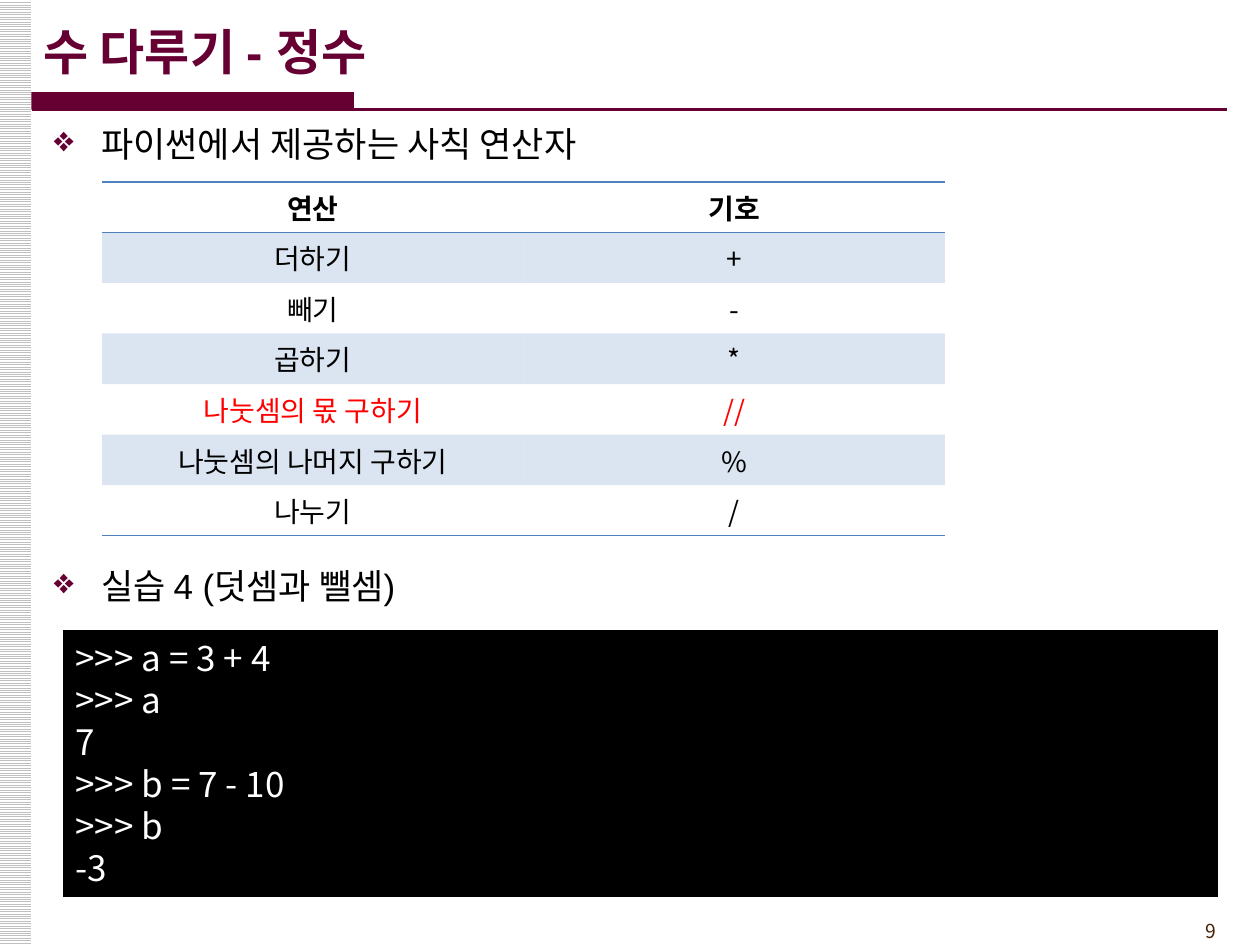
from lxml import etree
from pptx import Presentation
from pptx.dml.color import RGBColor
from pptx.enum import dml, shapes, text
from pptx.oxml import ns
from pptx.util import Pt

WINE = RGBColor(0x66, 0x00, 0x33)
BLACK = RGBColor(0, 0, 0)
WHITE = RGBColor(0xFF, 0xFF, 0xFF)
GRAY = RGBColor(0xC0, 0xC0, 0xC0)
BLUE = RGBColor(0x4F, 0x81, 0xBD)
RED = RGBColor(0xFF, 0, 0)
BROWN = RGBColor(0x45, 0x21, 0x03)
LATIN, KOREAN = "Arial", "Noto Sans CJK KR"
PLAIN = "{2D5ABB26-0587-4C30-8999-92F81FD0307C}"

TITLE = "수 다루기 - 정수"
HEADS = [("파이썬에서 제공하는 사칙 연산자", 66.24), ("실습 4 (덧셈과 뺄셈)", 319)]
ROWS = [
    ("연산", "기호"),
    ("더하기", "+"),
    ("빼기", "-"),
    ("곱하기", "*"),
    ("나눗셈의 몫 구하기", "//"),
    ("나눗셈의 나머지 구하기", "%"),
    ("나누기", "/"),
]
MARKED = 4
CODE = [">>> a = 3 + 4", ">>> a", "7", ">>> b = 7 - 10", ">>> b", "-3"]
PAGE = "9"


def sub(node, tag, **attrs):
    return etree.SubElement(node, ns.qn(tag), **attrs)


def style(frame, size, color, font=KOREAN, bold=False, align=text.PP_ALIGN.LEFT):
    for para in frame.paragraphs:
        para.alignment = align
        for run in para.runs:
            run.font.size = Pt(size)
            run.font.bold = bold
            run.font.color.rgb = color
            run.font.name = font
            sub(run.font._element, "a:ea", typeface=KOREAN)


def label(words, left, top, width, height):
    frame = slide.shapes.add_textbox(Pt(left), Pt(top), Pt(width), Pt(height)).text_frame
    frame.word_wrap = True
    frame.text = words
    return frame


def block(left, top, width, height, color):
    shape = slide.shapes.add_shape(
        shapes.MSO_SHAPE.RECTANGLE, Pt(left), Pt(top), Pt(width), Pt(height))
    shape.shadow.inherit = False
    shape.line.fill.background()
    shape.fill.solid()
    shape.fill.fore_color.rgb = color
    return shape


def border(cell, *tags):
    for spot, tag in enumerate(tags):
        line = etree.Element(ns.qn(tag), w=str(Pt(1)))
        sub(sub(line, "a:solidFill"), "a:srgbClr", val=str(BLUE))
        cell._tc.get_or_add_tcPr().insert(spot, line)


deck = Presentation()
deck.slide_width, deck.slide_height = Pt(720), Pt(540)
slide = deck.slides.add_slide(deck.slide_layouts[6])

# Striped side band
band = block(-0.72, 0, 18.72, 540, WHITE)
band.fill.patterned()
band.fill.pattern = dml.MSO_PATTERN.LIGHT_HORIZONTAL
band.fill.fore_color.rgb = GRAY
band.fill.back_color.rgb = WHITE

# Title with its bar and rule
frame = label(TITLE, 18, 6.5, 595.5, 45.4)
frame.vertical_anchor = text.MSO_ANCHOR.MIDDLE
style(frame, 28, WINE, LATIN, bold=True)
block(18, 52.6, 184.3, 10, WINE)
rule = slide.shapes.add_connector(
    shapes.MSO_CONNECTOR.STRAIGHT, Pt(18), Pt(62.6), Pt(701.3), Pt(62.6))
rule.line.color.rgb = WINE
rule.line.width = Pt(1.5)
sub(rule._element.spPr, "a:effectLst")

# Bulleted headings
for words, top in HEADS:
    frame = label(words, 23.76, top, 684, 36)
    style(frame, 20, BLACK, LATIN)
    props = frame.paragraphs[0]._p.get_or_add_pPr()
    props.set("marL", str(Pt(27)))
    props.set("indent", str(Pt(-27)))
    sub(sub(props, "a:buClr"), "a:srgbClr", val=str(WINE))
    sub(props, "a:buChar", char="❖")

# Operator table
grid = slide.shapes.add_table(
    len(ROWS), 2, Pt(58.4), Pt(103.9), Pt(481.6), Pt(28.9 * len(ROWS))).table
grid._tbl.tblPr.find(ns.qn("a:tableStyleId")).text = PLAIN
for r, row in enumerate(ROWS):
    for c, words in enumerate(row):
        cell = grid.cell(r, c)
        cell.text = words
        cell.margin_left = cell.margin_right = Pt(5)
        cell.margin_top = cell.margin_bottom = 0
        cell.vertical_anchor = text.MSO_ANCHOR.MIDDLE
        style(cell.text_frame, 16, RED if r == MARKED else BLACK,
              bold=r == 0, align=text.PP_ALIGN.CENTER)
        if r % 2:
            cell.fill.solid()
            cell.fill.fore_color.rgb = BLUE
            tint = cell._tc.tcPr.find(".//" + ns.qn("a:srgbClr"))
            sub(tint, "a:alpha", val="20000")
        else:
            cell.fill.background()
        if r == 0:
            border(cell, "a:lnT", "a:lnB")
        elif r == len(ROWS) - 1:
            border(cell, "a:lnB")

# Console
frame = block(36, 360, 660, 152.6, BLACK).text_frame
frame.text = "\n".join(CODE)
frame.vertical_anchor = text.MSO_ANCHOR.TOP
style(frame, 20, WHITE)
for para in frame.paragraphs:
    para.line_spacing = Pt(24)

# Page number
frame = label(PAGE, 642.2, 522, 59.8, 20.9)
style(frame, 11, BROWN, align=text.PP_ALIGN.RIGHT)

deck.save("out.pptx")
